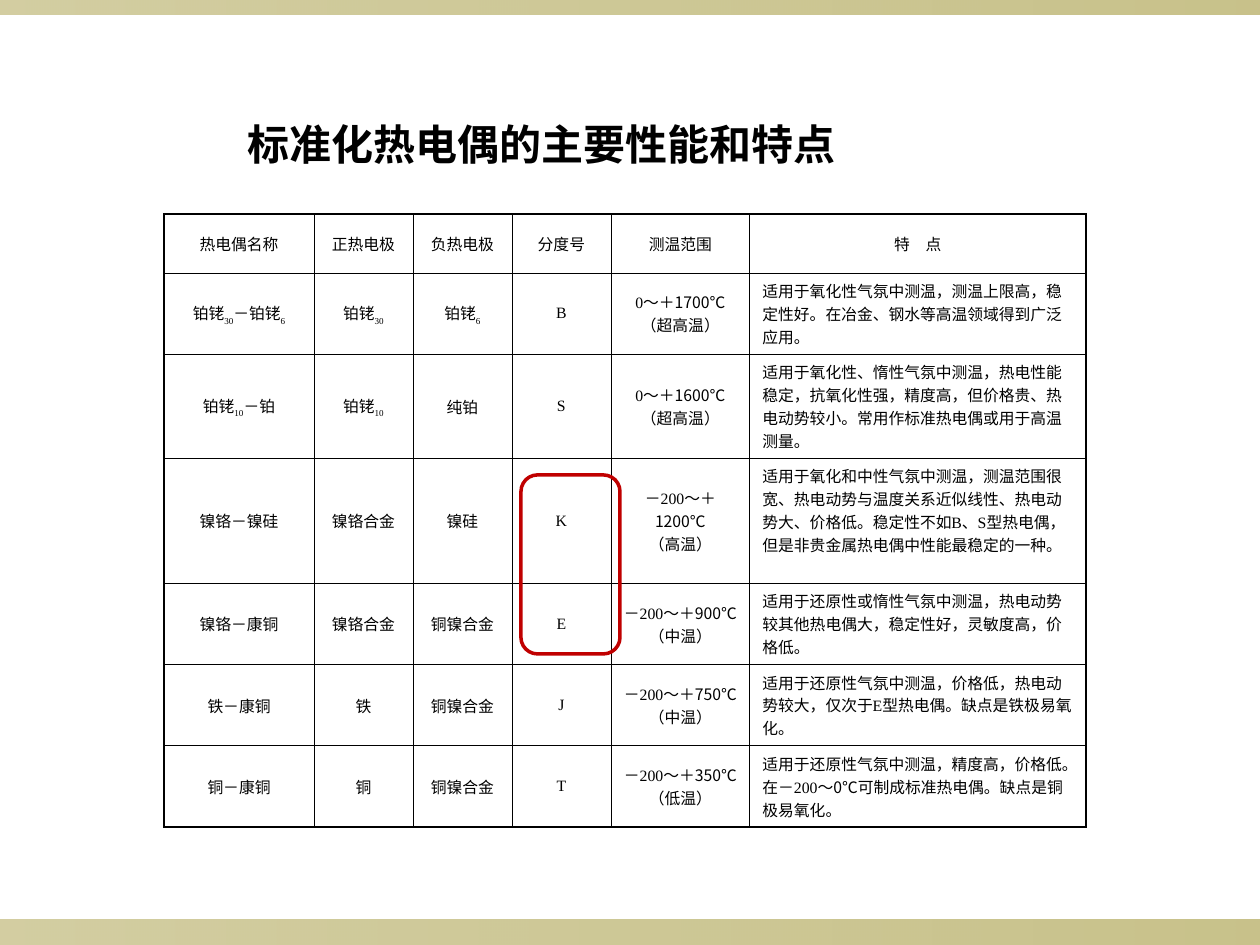
from dataclasses import dataclass

from lxml import etree
from pptx import Presentation
from pptx.dml.color import RGBColor
from pptx.enum import shapes, text
from pptx.oxml.ns import qn
from pptx.util import Pt

EMU_PER_PIXEL = 914400 / 126
COLORS = {"ink": "000000", "olive": "918415", "highlight": "C00000"}
SERIF, SANS = "Times New Roman", "Noto Sans CJK SC"
COLUMN_WIDTHS = [150, 99, 99, 99, 139, 336]
ROW_HEIGHTS = [59, 81, 104, 125, 81, 81, 81]
INNER_LINE, OUTER_LINE = Pt(0.45), Pt(0.96)


@dataclass
class Bar:
    top: int
    height: int


@dataclass
class Thermocouple:
    """Underscores enclose subscripts; a caret starts sans-serif text."""
    name: str
    positive: str
    negative: str
    grade: str
    span: str
    feature: str

    def cells(self) -> list[str]:
        return [self.name, self.positive, self.negative, self.grade, self.span, self.feature]


BARS = [Bar(920, 25), Bar(0, 15)]
ROWS = [
    Thermocouple("热电偶名称", "正热电极", "负热电极", "分度号", "测温范围", "特　点"),
    Thermocouple("铂铑_30_－铂铑_6", "铂铑_30", "铂铑_6", "B", "0^～＋1700℃\n^（超高温）",
                 "适用于氧化性气氛中测温，测温上限高，稳定性好。在冶金、钢水等高温领域得到广泛应用。"),
    Thermocouple("铂铑_10_－铂", "铂铑_10", "纯铂", "S", "0^～＋1600℃\n^（超高温）",
                 "适用于氧化性、惰性气氛中测温，热电性能稳定，抗氧化性强，精度高，但价格贵、"
                 "热电动势较小。常用作标准热电偶或用于高温测量。"),
    Thermocouple("镍铬－镍硅", "镍铬合金", "镍硅", "K", "－200^～＋1200℃\n^（高温）",
                 "适用于氧化和中性气氛中测温，测温范围很宽、热电动势与温度关系近似线性、"
                 "热电动势大、价格低。稳定性不如B、S型热电偶，但是非贵金属热电偶中性能最稳定的一种。"),
    Thermocouple("镍铬－康铜", "镍铬合金", "铜镍合金", "E", "－200^～＋900℃\n^（中温）",
                 "适用于还原性或惰性气氛中测温，热电动势较其他热电偶大，稳定性好，灵敏度高，价格低。"),
    Thermocouple("铁－康铜", "铁", "铜镍合金", "J", "－200^～＋750℃\n^（中温）",
                 "适用于还原性气氛中测温，价格低，热电动势较大，仅次于E型热电偶。缺点是铁极易氧化。"),
    Thermocouple("铜－康铜", "铜", "铜镍合金", "T", "－200^～＋350℃\n^（低温）",
                 "适用于还原性气氛中测温，精度高，价格低。在－200^～0℃可制成标准热电偶。"
                 "缺点是铜极易氧化。"),
]


def px(pixels: int) -> int:
    return round(pixels * EMU_PER_PIXEL)


def color(name: str) -> RGBColor:
    return RGBColor.from_string(COLORS[name])


def set_all(target, values: dict) -> None:
    for attribute, value in values.items():
        setattr(target, attribute, value)


def add_run(paragraph, content: str, size: int, latin: str = SERIF,
            bold: bool = False, subscript: bool = False) -> None:
    run = paragraph.add_run()
    run.text = content
    set_all(run.font, {"size": Pt(size), "name": latin, "bold": bold})
    run.font.color.rgb = color("ink")
    properties = run.font._element
    properties.find(qn("a:latin")).addnext(
        properties.makeelement(qn("a:ea"), {"typeface": SANS}))
    if subscript:
        properties.set("baseline", "-30000")


def add_bar(slide, bar: Bar) -> None:
    shape = slide.shapes.add_shape(
        shapes.MSO_SHAPE.RECTANGLE, 0, px(bar.top), px(1260), px(bar.height))
    shape.shadow.inherit = False
    shape.line.fill.background()
    shape.fill.gradient()
    shape.fill.gradient_angle = 0
    for stop, opacity in zip(shape.fill.gradient_stops, (40, 50)):
        stop.color.rgb = color("olive")
    stops = shape._element.spPr.iter(qn("a:srgbClr"))
    for element, opacity in zip(list(stops), (40, 50)):
        etree.SubElement(element, qn("a:alpha"), val=str(opacity * 1000))
    for stop, position in zip(shape.fill.gradient_stops, (0, 1)):
        stop.position = position


def set_borders(cell, row: int, column: int) -> None:
    outer = {"L": column == 0, "R": column == len(COLUMN_WIDTHS) - 1,
             "T": row == 0, "B": row == len(ROW_HEIGHTS) - 1}
    properties = cell._tc.get_or_add_tcPr()
    for side, is_outer in outer.items():
        width = OUTER_LINE if is_outer else INNER_LINE
        line = etree.SubElement(properties, qn(f"a:ln{side}"), w=str(int(width)))
        fill = etree.SubElement(line, qn("a:solidFill"))
        etree.SubElement(fill, qn("a:srgbClr"), val=COLORS["ink"])


def fill_cell(cell, content: str, row: int, column: int) -> None:
    is_feature = row > 0 and column == len(COLUMN_WIDTHS) - 1
    set_borders(cell, row, column)
    cell.fill.background()
    cell.vertical_anchor = text.MSO_ANCHOR.TOP if is_feature else text.MSO_ANCHOR.MIDDLE
    frame = cell.text_frame
    for index, line in enumerate(content.split("\n")):
        paragraph = frame.add_paragraph() if index else frame.paragraphs[0]
        paragraph.alignment = text.PP_ALIGN.LEFT if is_feature else text.PP_ALIGN.CENTER
        serif, _, sans = line.partition("^")
        for position, piece in enumerate(serif.split("_")):
            if piece:
                add_run(paragraph, piece, 9, subscript=position % 2 == 1)
        if sans:
            add_run(paragraph, sans, 9, latin=SANS)


def add_properties_table(slide) -> None:
    frame = slide.shapes.add_table(
        len(ROW_HEIGHTS), len(COLUMN_WIDTHS), px(164), px(214),
        px(sum(COLUMN_WIDTHS)), px(sum(ROW_HEIGHTS)))
    table = frame.table
    set_all(table, {"first_row": False, "horz_banding": False})
    for column, width in zip(table.columns, COLUMN_WIDTHS):
        column.width = px(width)
    for row, height in zip(table.rows, ROW_HEIGHTS):
        row.height = px(height)
    for row, entry in enumerate(ROWS):
        for column, content in enumerate(entry.cells()):
            fill_cell(table.cell(row, column), content, row, column)


def format_title(title, content: str) -> None:
    set_all(title, {"left": px(235), "top": px(112), "width": px(622), "height": px(63)})
    set_all(title.text_frame, {"word_wrap": True, "auto_size": text.MSO_AUTO_SIZE.NONE,
                               "vertical_anchor": text.MSO_ANCHOR.MIDDLE})
    paragraph = title.text_frame.paragraphs[0]
    paragraph.alignment = text.PP_ALIGN.LEFT
    add_run(paragraph, content, 24, bold=True)


def add_highlight(slide) -> None:
    shape = slide.shapes.add_shape(
        shapes.MSO_SHAPE.ROUNDED_RECTANGLE, px(521), px(475), px(99), px(179))
    shape.shadow.inherit = False
    shape.fill.background()
    shape.line.color.rgb = color("highlight")
    shape.line.width = Pt(2)


# Slide
presentation = Presentation()
set_all(presentation, {"slide_width": px(1260), "slide_height": px(945)})
slide = presentation.slides.add_slide(presentation.slide_layouts[5])

# Edge bars
for bar in BARS:
    add_bar(slide, bar)

# Title, table and marked grades
format_title(slide.shapes.title, "标准化热电偶的主要性能和特点")
add_properties_table(slide)
add_highlight(slide)

presentation.save("out.pptx")
